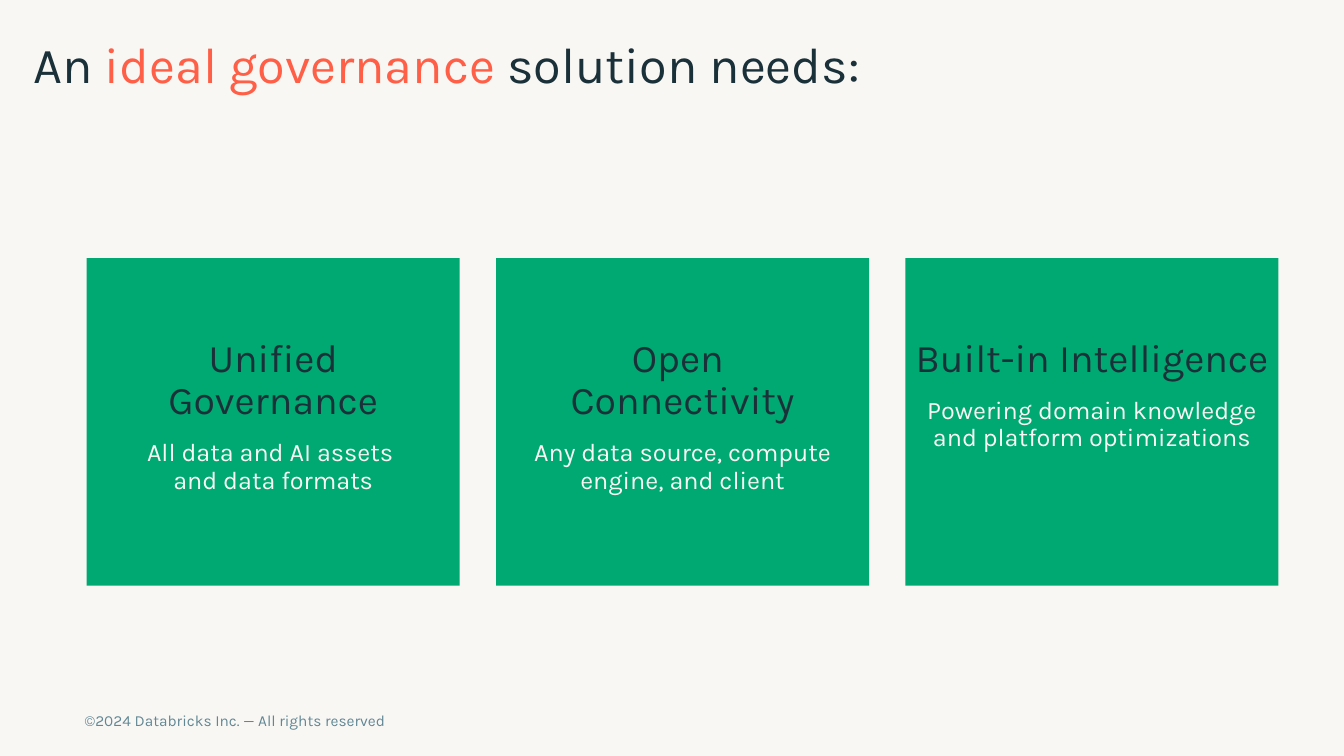
from pptx import Presentation
from pptx.dml.color import RGBColor
from pptx.enum.shapes import MSO_SHAPE
from pptx.enum.text import MSO_ANCHOR, MSO_AUTO_SIZE, PP_ALIGN
from pptx.util import Inches, Pt

PAPER = RGBColor(0xF9, 0xF7, 0xF4)
INK = RGBColor(0x1B, 0x31, 0x39)
CORAL = RGBColor(0xFF, 0x5F, 0x46)
GREEN = RGBColor(0x00, 0xA9, 0x72)
SLATE = RGBColor(0x61, 0x87, 0x94)

CARDS = [
    ("Unified\nGovernance", "All data and AI assets \nand data formats"),
    ("Open \nConnectivity", "Any data source, compute engine, and client"),
    ("Built-in Intelligence", "Powering domain knowledge and platform optimizations"),
]
CARD_LEFT, CARD_TOP, CARD_WIDTH, CARD_HEIGHT = 0.86, 2.56, 3.7, 3.25
CARD_STEP = 4.06


def add_text(para, text, size, color, font="Karla"):
    """Append formatted text to a paragraph; a newline becomes a line break."""
    for index, line in enumerate(text.split("\n")):
        if index:
            para.add_line_break()
        span = para.add_run()
        span.text = line
        span.font.name = font
        span.font.size = Pt(size)
        span.font.bold = False
        span.font.color.rgb = color


class GovernanceSlide:
    def __init__(self, deck):
        self.page = deck.slides.add_slide(deck.slide_layouts[5])
        self.page.background.fill.solid()
        self.page.background.fill.fore_color.rgb = PAPER

    def set_frame(self, frame, margins, auto_size=MSO_AUTO_SIZE.NONE):
        frame.word_wrap = True
        frame.auto_size = auto_size
        frame.vertical_anchor = MSO_ANCHOR.TOP
        (frame.margin_left, frame.margin_top,
         frame.margin_right, frame.margin_bottom) = map(Inches, margins)

    def title(self, spans):
        box = self.page.shapes.title
        box.left, box.top = Inches(0.33), Inches(0.33)
        box.width, box.height = Inches(12.53), Inches(0.61)
        self.set_frame(box.text_frame, (0, 0, 0, 0), MSO_AUTO_SIZE.SHAPE_TO_FIT_TEXT)
        para = box.text_frame.paragraphs[0]
        para.alignment = PP_ALIGN.LEFT
        for text, color in spans:
            add_text(para, text, size=36, color=color)

    def card(self, left, heading, detail):
        box = self.page.shapes.add_shape(
            MSO_SHAPE.RECTANGLE, Inches(left), Inches(CARD_TOP),
            Inches(CARD_WIDTH), Inches(CARD_HEIGHT))
        box.shadow.inherit = False
        box.fill.solid()
        box.fill.fore_color.rgb = GREEN
        box.line.fill.background()
        frame = box.text_frame
        self.set_frame(frame, (0.1, 0.8, 0.1, 0.05))
        add_text(frame.paragraphs[0], heading, size=28, color=INK)
        para = frame.add_paragraph()
        para.space_before = para.space_after = Pt(12)
        add_text(para, detail, size=18, color=PAPER)
        for para in frame.paragraphs:
            para.alignment = PP_ALIGN.CENTER
            para.line_spacing = 0.9

    def footer(self, text):
        box = self.page.shapes.add_textbox(
            Inches(0.71), Inches(6.96), Inches(5.88), Inches(0.45))
        self.set_frame(box.text_frame, (0.13,) * 4, MSO_AUTO_SIZE.SHAPE_TO_FIT_TEXT)
        add_text(box.text_frame.paragraphs[0], text, size=11, color=SLATE)


def main():
    deck = Presentation()
    deck.slide_width, deck.slide_height = Inches(13.33), Inches(7.5)
    slide = GovernanceSlide(deck)

    # Title
    slide.title([("An ", INK), ("ideal governance ", CORAL), ("solution needs:", INK)])

    # Three needs, side by side
    for column, (heading, detail) in enumerate(CARDS):
        slide.card(CARD_LEFT + column * CARD_STEP, heading, detail)

    # Copyright line
    slide.footer("©2024 Databricks Inc. — All rights reserved")

    deck.save("out.pptx")


if __name__ == "__main__":
    main()
